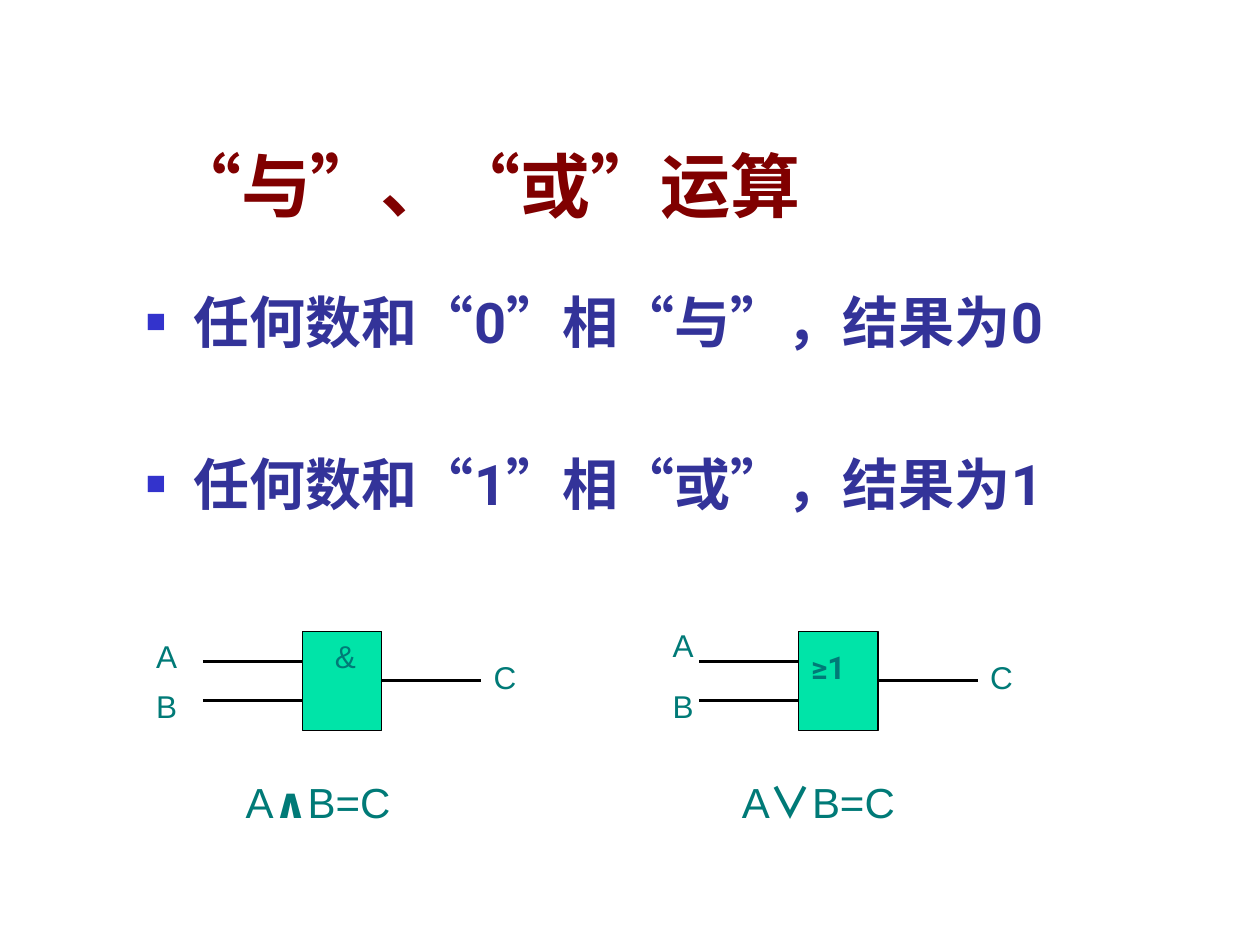
from dataclasses import dataclass

from lxml.etree import SubElement
from pptx import Presentation
from pptx.dml.color import RGBColor as RGB
from pptx.enum.shapes import MSO_CONNECTOR as Connector, MSO_SHAPE as Shape
from pptx.enum.text import MSO_ANCHOR as Anchor
from pptx.oxml.ns import qn
from pptx.util import Inches, Pt


@dataclass(frozen=True)
class Theme:
    title: str = "800000"
    body: str = "333399"
    bullet: str = "3333CC"
    label: str = "007A77"
    gate: str = "00E4A8"
    ink: str = "000000"
    strong_font: str = "Roboto"
    label_font: str = "Arial"
    cjk_font: str = "Noto Sans CJK SC"
    title_size: int = 40
    body_size: int = 32
    formula_size: int = 24
    label_size: int = 18


THEME = Theme()

# Content
TITLE = "“与”、“或”运算"
RULES = ["任何数和“0”相“与”，结果为0", "任何数和“1”相“或”，结果为1"]
# Symbol box: offset from the gate's corner, then width; input_a_top: label A
GATES = [
    dict(left=2.4, symbol="&", symbol_at=(0.16, 0, 0.39), symbol_strong=False,
         label_left=1.14, input_a_top=5.01,
         operator="∧", operator_font=THEME.strong_font),
    dict(left=6.34, symbol="≥1", symbol_at=(0, 0.08, 0.63), symbol_strong=True,
         label_left=5.24, input_a_top=4.92,
         operator="∨", operator_font=THEME.cjk_font),
]

# Gate geometry
GATE_TOP, GATE_WIDTH, GATE_HEIGHT = 5.01, 0.63, 0.79
WIRE = 0.79
INPUT_ROWS = (5.25, 5.56)
OUTPUT_ROW = 5.4
LABEL_WIDTH, LABEL_HEIGHT = 0.39, 0.4

deck = Presentation()
deck.slide_width, deck.slide_height = Inches(10), Inches(7.5)
page = deck.slides.add_slide(deck.slide_layouts[6])


def set_typeface(font, name, bold, east_asian=None):
    font.name, font.bold = name, bold
    SubElement(font._element, qn("a:ea"), typeface=east_asian or name)


def style(para, size, color, name=None, bold=False, east_asian=None):
    para.font.size = Pt(size)
    para.font.color.rgb = RGB.from_string(color)
    if name:
        set_typeface(para.font, name, bold, east_asian)


def add_text_box(left, top, width, height, anchor=Anchor.TOP):
    box = page.shapes.add_textbox(*map(Inches, (left, top, width, height)))
    frame = box.text_frame
    frame.word_wrap, frame.vertical_anchor = True, anchor
    return frame


def add_label(text, left, top, width=LABEL_WIDTH, strong=False):
    para = add_text_box(left, top, width, LABEL_HEIGHT).paragraphs[0]
    para.text = text
    font = THEME.strong_font if strong else THEME.label_font
    style(para, THEME.label_size, THEME.label, font, strong)


def add_bullet(para):
    props = para._p.get_or_add_pPr()
    props.set("marL", str(Inches(0.38)))
    props.set("indent", str(-Inches(0.38)))
    color = SubElement(props, qn("a:buClr"))
    SubElement(color, qn("a:srgbClr"), val=THEME.bullet)
    SubElement(props, qn("a:buSzPct"), val="60000")
    SubElement(props, qn("a:buFont"), typeface=THEME.label_font)
    SubElement(props, qn("a:buChar"), char="■")


def add_wire(left, row):
    wire = page.shapes.add_connector(
        Connector.STRAIGHT, *map(Inches, (left, row, left + WIRE, row)))
    wire.line.color.rgb = RGB.from_string(THEME.ink)
    wire.line.width = Pt(2)
    SubElement(wire._element.spPr, qn("a:effectLst"))


def add_gate(gate):
    left = gate["left"]
    right = left + GATE_WIDTH
    body = page.shapes.add_shape(
        Shape.RECTANGLE, *map(Inches, (left, GATE_TOP, GATE_WIDTH, GATE_HEIGHT)))
    body.shadow.inherit = False
    body.fill.solid()
    body.fill.fore_color.rgb = RGB.from_string(THEME.gate)
    body.line.color.rgb = RGB.from_string(THEME.ink)
    body.line.width = Pt(0.75)

    # Wires and their labels
    for row in INPUT_ROWS:
        add_wire(left - WIRE, row)
    add_wire(right, OUTPUT_ROW)
    add_label("A", gate["label_left"], gate["input_a_top"])
    add_label("B", gate["label_left"], 5.4)
    add_label("C", right + WIRE, 5.17)
    across, down, width = gate["symbol_at"]
    add_label(gate["symbol"], left + across, GATE_TOP + down, width,
              gate["symbol_strong"])

    # Formula below the gate
    para = add_text_box(left - 0.55, 6.11, 1.65, 0.5).paragraphs[0]
    style(para, THEME.formula_size, THEME.label)
    for text, font, bold in (("A", THEME.label_font, False),
                             (gate["operator"], gate["operator_font"], True),
                             ("B=C", THEME.label_font, False)):
        span = para.add_run()
        span.text = text
        set_typeface(span.font, font, bold)


# Title
heading = add_text_box(1.26, 0.25, 8.52, 1.6, Anchor.BOTTOM).paragraphs[0]
heading.text = TITLE
style(heading, THEME.title_size, THEME.title, THEME.strong_font, True,
      THEME.cjk_font)

# Rules
rules = add_text_box(1.06, 2.21, 8.5, 4.5)
for index, rule in enumerate(RULES):
    para = rules.add_paragraph() if index else rules.paragraphs[0]
    para.text = rule
    add_bullet(para)
    para.line_spacing = Pt(40)
    if index:
        para.space_before = Pt(52.5)
    style(para, THEME.body_size, THEME.body, THEME.strong_font, True,
          THEME.cjk_font)

# Gate diagrams
for gate in GATES:
    add_gate(gate)

deck.save("out.pptx")
